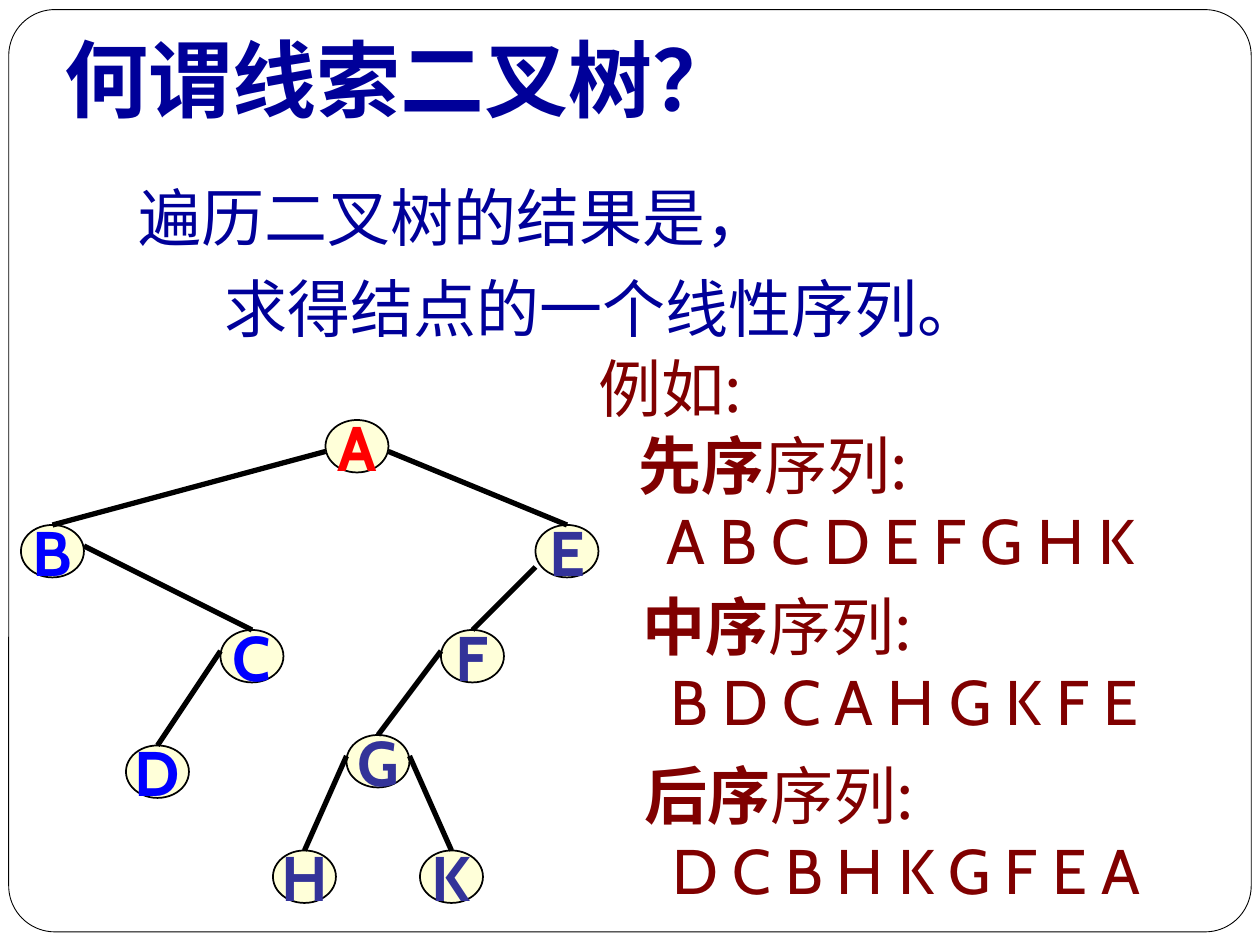
import dataclasses
import typing

import lxml.etree
import pptx
import pptx.dml.color
import pptx.enum.shapes
import pptx.enum.text
import pptx.oxml.ns
import pptx.util

Pt = pptx.util.Pt
Color = pptx.dml.color.RGBColor
Shape = pptx.enum.shapes.MSO_SHAPE
Align = pptx.enum.text.PP_ALIGN
qn = pptx.oxml.ns.qn

BLACK = Color(0x00, 0x00, 0x00)
WHITE = Color(0xFF, 0xFF, 0xFF)
CREAM = Color(0xFF, 0xFF, 0xD9)
NAVY = Color(0x00, 0x00, 0x99)
RED = Color(0xFF, 0x00, 0x00)
BLUE = Color(0x00, 0x00, 0xFF)
INDIGO = Color(0x33, 0x33, 0x99)
MAROON = Color(0x80, 0x00, 0x00)
LATIN = "Cabin"
HAN = "Noto Sans CJK SC"
NODE_W, NODE_H = 36, 30


@dataclasses.dataclass
class Node:
    name: str
    left: float
    top: float
    color: Color


@dataclasses.dataclass
class Edge:
    parent: str
    child: str
    drop: float = 12


@dataclasses.dataclass
class Order:
    label: str
    letters: str
    left: float
    top: float


NODES = [
    Node("A", 186, 240, RED),
    Node("B", 12, 300, BLUE),
    Node("C", 126, 360, BLUE),
    Node("D", 72, 426, BLUE),
    Node("E", 306, 300, INDIGO),
    Node("F", 252, 360, INDIGO),
    Node("G", 198, 420, INDIGO),
    Node("H", 156, 486, INDIGO),
    Node("K", 240, 486, INDIGO),
]
EDGES = [
    Edge("A", "B", 18), Edge("B", "C"), Edge("C", "D"), Edge("A", "E", 18),
    Edge("E", "F", 24), Edge("F", "G"), Edge("G", "H"), Edge("G", "K"),
]
ORDERS = [
    Order("先序", "A B C D E F G H K", 358, 240),
    Order("中序", "B D C A H G K F E", 360, 332),
    Order("后序", "D C B H K G F E A", 361, 428.5),
]


def write(para: typing.Any, text: str, *, color: Color, size: float = 36,
          font: str = LATIN, bold: bool = False, indent: float = 0,
          spacing: float = 1, align: Align = Align.LEFT) -> None:
    """Append a formatted run to a paragraph."""
    para.alignment = align
    para.line_spacing = spacing
    if indent:
        para._p.get_or_add_pPr().set("marL", str(Pt(indent)))
    run = para.add_run()
    run.text = text
    run.font.name, run.font.size, run.font.bold = font, Pt(size), bold
    run.font.color.rgb = color
    lxml.etree.SubElement(run._r.rPr, qn("a:ea"), typeface=LATIN)


def add_box(slide: typing.Any, left: float, top: float,
            width: float, height: float) -> typing.Any:
    """Add a wrapping text box and return its text frame."""
    box = slide.shapes.add_textbox(Pt(left), Pt(top), Pt(width), Pt(height))
    box.text_frame.word_wrap = True
    return box.text_frame


def add_shape(slide: typing.Any, kind: Shape, left: float, top: float,
              width: float, height: float, fill: Color, line: float) -> typing.Any:
    """Add a filled shape with a black outline."""
    shape = slide.shapes.add_shape(kind, Pt(left), Pt(top), Pt(width), Pt(height))
    shape.shadow.inherit = False
    shape.fill.solid()
    shape.fill.fore_color.rgb = fill
    shape.line.color.rgb = BLACK
    shape.line.width = Pt(line)
    return shape


def add_node(slide: typing.Any, node: Node) -> typing.Any:
    """Draw one lettered tree node."""
    oval = add_shape(slide, Shape.OVAL, node.left, node.top, NODE_W, NODE_H, CREAM, 1)
    frame = oval.text_frame
    frame.word_wrap = False
    frame.vertical_anchor = pptx.enum.text.MSO_ANCHOR.MIDDLE
    write(frame.paragraphs[0], node.name, color=node.color, bold=True, align=Align.CENTER)
    return oval


def add_edge(slide: typing.Any, edge: Edge, ovals: dict[str, typing.Any]) -> None:
    """Join a parent's flank to the top of its child."""
    start, end = ovals[edge.parent], ovals[edge.child]
    side = start.left + (start.width if end.left > start.left else 0)
    line = slide.shapes.add_connector(
        pptx.enum.shapes.MSO_CONNECTOR.STRAIGHT,
        side, start.top + Pt(edge.drop), end.left + end.width // 2, end.top)
    line.end_connect(end, 0)
    line.line.color.rgb = BLACK
    line.line.width = Pt(3)
    lxml.etree.SubElement(line._element.spPr, qn("a:effectLst"))


def add_order(slide: typing.Any, order: Order) -> None:
    """Write one traversal label with its sequence."""
    frame = add_box(slide, order.left, order.top, 342, 93.6)
    head = frame.paragraphs[0]
    write(head, order.label, color=MAROON, font=HAN, bold=True)
    write(head, "序列:", color=MAROON, font=HAN)
    write(frame.add_paragraph(), order.letters, color=MAROON, indent=16)


def main() -> None:
    """Build the threaded binary tree slide."""
    deck = pptx.Presentation()
    deck.slide_width, deck.slide_height = Pt(720), Pt(540)
    slide = deck.slides.add_slide(deck.slide_layouts[6])

    frame = add_shape(slide, Shape.ROUNDED_RECTANGLE, 5, 5.5, 710, 527, WHITE, 0.5)
    frame.adjustments[0] = 0.05

    title = add_box(slide, -42, 12, 546, 65)
    write(title.paragraphs[0], "何谓线索二叉树？", color=NAVY, size=48, bold=True, indent=72)

    body = add_box(slide, 0, 90, 666, 111)
    write(body.paragraphs[0], "遍历二叉树的结果是，", color=NAVY, indent=72, spacing=1.2)
    write(body.add_paragraph(), "求得结点的一个线性序列。", color=NAVY, indent=121, spacing=1.2)

    ovals = {node.name: add_node(slide, node) for node in NODES}
    for edge in EDGES:
        add_edge(slide, edge, ovals)

    intro = add_box(slide, 335, 196, 117, 50)
    write(intro.paragraphs[0], "例如:", color=MAROON, font=HAN)
    for order in ORDERS:
        add_order(slide, order)

    deck.save("out.pptx")


if __name__ == "__main__":
    main()
